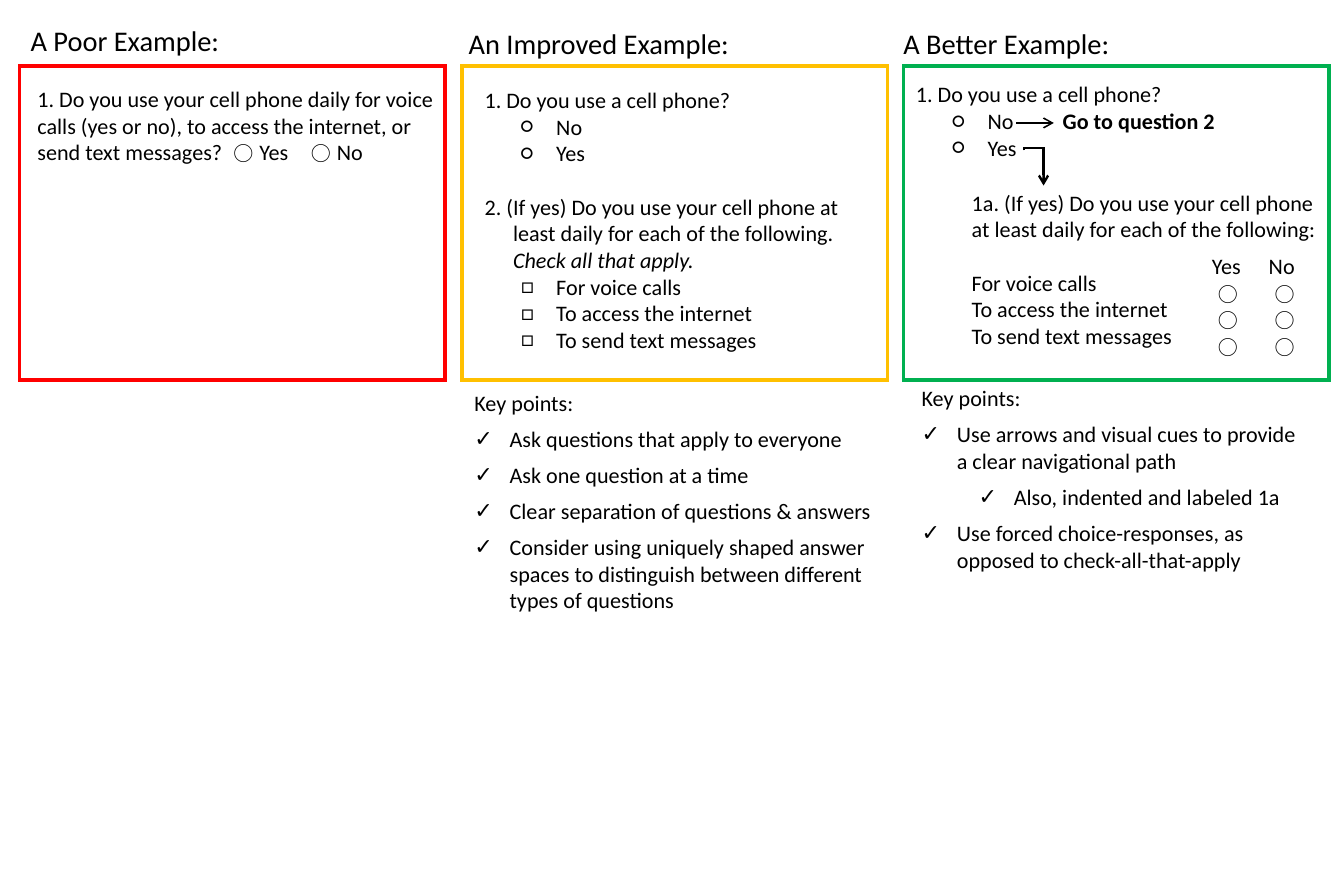
from lxml import etree
from pptx import Presentation
from pptx.dml.color import RGBColor
from pptx.enum.shapes import MSO_CONNECTOR, MSO_SHAPE
from pptx.oxml.ns import qn
from pptx.util import Inches, Pt

RECT = MSO_SHAPE.RECTANGLE
STRAIGHT, ELBOW = MSO_CONNECTOR.STRAIGHT, MSO_CONNECTOR.ELBOW
RING, RADIO, SQUARE, CHECK = "\u20dd", "\u25cb", "\u25a1", "\u2713"
BLANK = 6
LINE = 17.1  # one line of 14 pt text, in points


def stroke(line, weight, color):
    line.width = Pt(weight)
    line.color.rgb = RGBColor.from_string(color)
    etree.SubElement(line._get_or_add_ln(), qn("a:miter"), lim="800000")


def write(left, top, width, height, items, size=14, after=0, tab=None):
    """Each item is (text, margin, first-line indent, bullet, space before)."""
    box = slide.shapes.add_textbox(Inches(left), Inches(top), Inches(width), Inches(height))
    frame = box.text_frame
    frame.word_wrap = True
    for i, item in enumerate(items):
        text, margin, indent, mark, before = item
        para = frame.paragraphs[0] if i == 0 else frame.add_paragraph()
        para.text = text
        para.space_before, para.space_after = Pt(before), Pt(after)
        props = para._p.get_or_add_pPr()
        props.set("marL", str(Inches(margin)))
        props.set("indent", str(Inches(indent)))
        if mark:
            etree.SubElement(props, qn("a:buFont"), typeface="Calibri")
            etree.SubElement(props, qn("a:buChar"), char=mark)
        if tab:
            stops = etree.SubElement(props, qn("a:tabLst"))
            etree.SubElement(stops, qn("a:tab"), pos=str(Inches(tab)), algn="l")
        para.font.name, para.font.size = "Calibri", Pt(size)
        para.font.color.rgb = RGBColor.from_string("000000")
    return frame.paragraphs


deck = Presentation()
deck.slide_width, deck.slide_height = Inches(11.81), Inches(7.87)
slide = deck.slides.add_slide(deck.slide_layouts[BLANK])

# Headings and frames
for head, left, top, edge, color in [
    ("A Poor Example:", 0.17, 0.15, 0.17, "FF0000"),
    ("An Improved Example:", 4.02, 0.18, 4.06, "FFC000"),
    ("A Better Example:", 7.84, 0.18, 7.94, "00B050"),
]:
    frame = slide.shapes.add_shape(RECT, Inches(edge), Inches(0.58), Inches(3.74), Inches(2.76))
    frame.shadow.inherit = False
    frame.fill.background()
    stroke(frame.line, 2.25, color)
    write(left, top, 3.54, 0.4, [(head, 0, 0, None, 0)], size=18)

# Poor example, with its choices on the third line
write(0.23, 0.7, 3.68, 0.81, [
    ("1. Do you use your cell phone daily for voice calls (yes or no), to access "
     "the internet, or send text messages?", 0, 0, None, 0),
])
for choice, left in [("Yes", 1.9), ("No", 2.58)]:
    write(left, 1.17, 0.9, 0.34, [(f" {RING} {choice}", 0, 0, None, 0)])

# Improved example
first = [("1. Do you use a cell phone?", 0, 0, None, 0)]
first += [(text, 0.63, -0.31, RADIO, 0) for text in ("No", "Yes")]
uses = ["For voice calls", "To access the internet", "To send text messages"]
second = [("2. (If yes) Do you use your cell phone at least daily for each of the following. ",
           0.25, -0.25, None, LINE)]
second += [(use, 0.63, -0.31, SQUARE, 0) for use in uses]
paras = write(4.16, 0.71, 3.54, 2.46, first + second)
hint = paras[len(first)].add_run()
hint.text = "Check all that apply."
hint.font.italic = True

# Better example
write(7.95, 0.66, 3.7, 0.81, first)
skip = write(9.24, 0.89, 2, 0.34, [("Go to question 2", 0, 0, None, 0)])
skip[0].font.bold = True
write(8.44, 1.61, 3.29, 1.51, [
    ("1a. (If yes) Do you use your cell phone at least daily for each of the following:",
     0, 0, None, 0),
] + [(use, 0, 0, None, 0 if i else LINE) for i, use in enumerate(uses)])
rows = ["Yes\tNo"] + [f" {RING}\t {RING}"] * len(uses)
write(10.55, 2.17, 1.12, 1.04, [(row, 0, 0, None, 0) for row in rows], tab=0.51)

# Arrows
for kind, x1, y1, x2, y2, weight in [
    (STRAIGHT, 8.93, 1.08, 9.26, 1.08, 1),
    (ELBOW, 9.24, 1.39, 8.93, 1.56, 1.5),
]:
    arrow = slide.shapes.add_connector(kind, Inches(x1), Inches(y1), Inches(x2), Inches(y2))
    stroke(arrow.line, weight, "000000")
    etree.SubElement(arrow.line._get_or_add_ln(), qn("a:tailEnd"), type="arrow")
    props = arrow._element.spPr
    etree.SubElement(props, qn("a:effectLst"))
    if kind == ELBOW:
        props.find(qn("a:xfrm")).set("rot", str(270 * 60000))
        guides = props.find(qn("a:prstGeom")).find(qn("a:avLst"))
        etree.SubElement(guides, qn("a:gd"), name="adj1", fmla="val -6600")

# Key points
for left, top, width, height, points in [
    (4.07, 3.37, 3.83, 2.09, [
        ("Ask questions that apply to everyone", 0.31),
        ("Ask one question at a time", 0.31),
        ("Clear separation of questions & answers", 0.31),
        ("Consider using uniquely shaped answer spaces to distinguish between "
         "different types of questions", 0.31),
    ]),
    (8, 3.33, 3.62, 1.77, [
        ("Use arrows and visual cues to provide a clear navigational path", 0.31),
        ("Also, indented and labeled 1a", 0.81),
        ("Use forced choice-responses, as opposed to check-all-that-apply", 0.31),
    ]),
]:
    items = [("Key points:", 0, 0, None, 0)]
    items += [(text, margin, -0.31, CHECK, 0) for text, margin in points]
    write(left, top, width, height, items, after=6)

deck.save("out.pptx")
